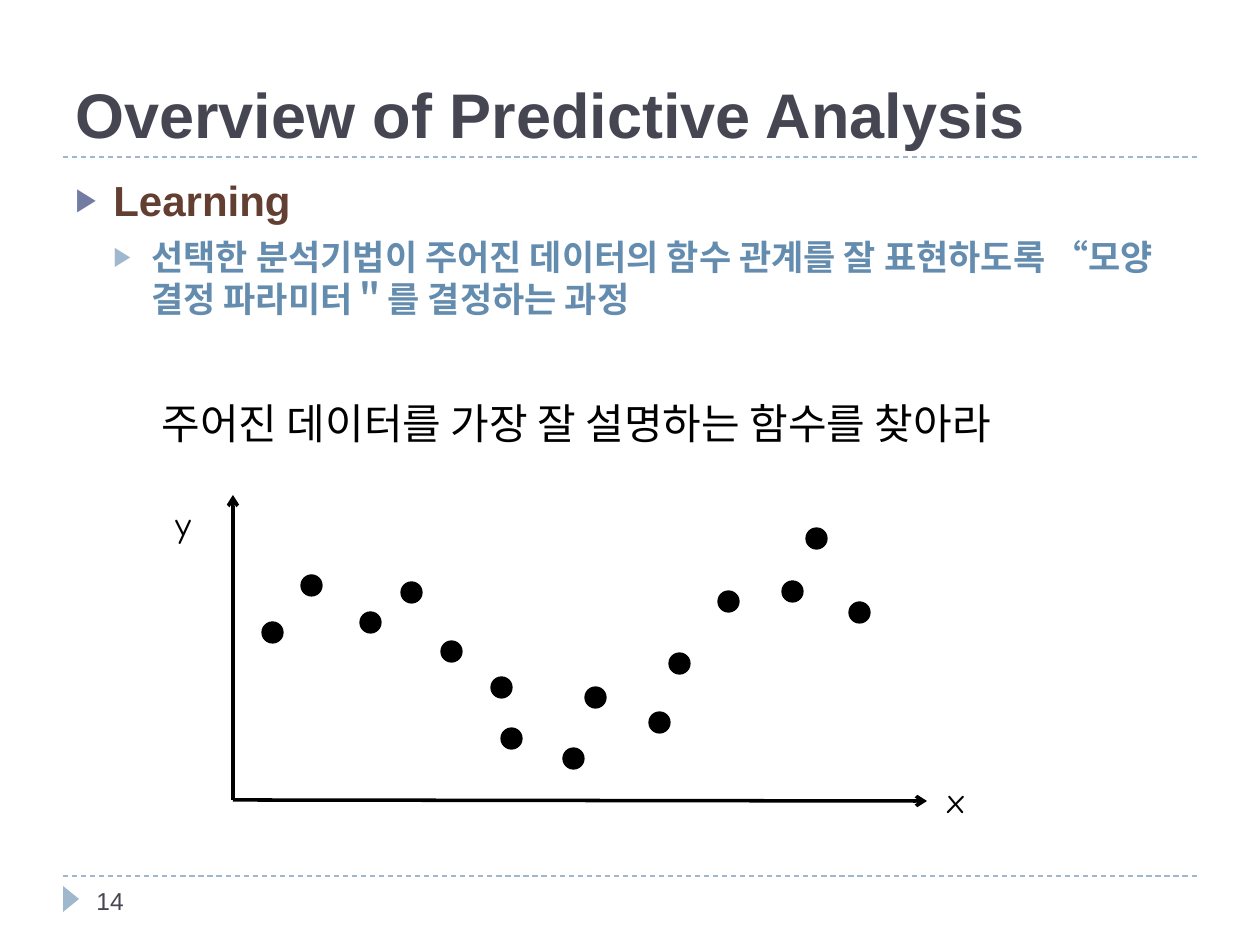
from dataclasses import dataclass

from lxml import etree
from pptx import Presentation
from pptx import util as u
from pptx.dml.color import RGBColor
from pptx.enum import dml, shapes, text
from pptx.oxml.ns import qn

PX = 914400 / 126


@dataclass(frozen=True)
class Theme:
    ink: str = "000000"
    heading: str = "464653"
    topic: str = "633F32"
    detail: str = "638CAE"
    accent: str = "9FB8CD"
    topic_bullet: str = "727CA3"
    sans: str = "Arial"
    hand: str = "Comic Neue"
    title_size: int = 36
    large: int = 24
    medium: int = 20
    small: int = 14
    rule_width: float = 0.75
    axis_width: float = 2


THEME = Theme()

DOT_SIZE = 21
DATA_POINTS = [
    (585, 687), (669, 653), (649, 712), (849, 602), (782, 581),
    (718, 591), (806, 528), (491, 677), (501, 728), (563, 748),
    (441, 641), (262, 622), (301, 575), (401, 582), (360, 612),
]


def px(length):
    return u.Emu(round(length * PX))


def rgb(colour):
    return RGBColor.from_string(colour)


def add_line(slide, start, end, colour, width):
    line = slide.shapes.add_connector(
        shapes.MSO_CONNECTOR.STRAIGHT, *map(px, (*start, *end)))
    line.line.color.rgb = rgb(colour)
    line.line.width = u.Pt(width)
    etree.SubElement(line._element.spPr, qn("a:effectLst"))
    return line


def add_rule(slide, y):
    rule = add_line(slide, (63, y), (1197, y), THEME.accent, THEME.rule_width)
    rule.line.dash_style = dml.MSO_LINE.DASH


def add_axis(slide, start, end):
    axis = add_line(slide, start, end, THEME.ink, THEME.axis_width)
    etree.SubElement(axis.line._get_or_add_ln(), qn("a:tailEnd"), type="arrow")


def add_solid(slide, kind, box, colour):
    solid = slide.shapes.add_shape(kind, *map(px, box))
    solid.shadow.inherit = False
    solid.fill.solid()
    solid.fill.fore_color.rgb = rgb(colour)
    return solid


def add_marker(slide):
    marker = add_solid(slide, shapes.MSO_SHAPE.ISOSCELES_TRIANGLE,
                       (58, 891, 26, 16), THEME.accent)
    marker.line.fill.background()
    marker.rotation = 90


def add_dot(slide, left, top):
    dot = add_solid(slide, shapes.MSO_SHAPE.OVAL,
                    (left, top, DOT_SIZE, DOT_SIZE), THEME.ink)
    dot.line.color.rgb = rgb(THEME.ink)
    dot.line.width = u.Pt(THEME.rule_width)


def add_frame(slide, box, anchor=text.MSO_ANCHOR.TOP, wrap=True):
    frame = slide.shapes.add_textbox(*map(px, box)).text_frame
    frame.word_wrap = wrap
    frame.vertical_anchor = anchor
    if not wrap:
        frame.auto_size = text.MSO_AUTO_SIZE.SHAPE_TO_FIT_TEXT
    return frame


def add_run(paragraph, words, size, colour, font=THEME.sans, bold=False):
    run = paragraph.add_run()
    run.text = words
    run.font.size = u.Pt(size)
    run.font.name = font
    run.font.bold = bold
    run.font.color.rgb = rgb(colour)


def add_label(slide, box, words, size, font=THEME.sans):
    frame = add_frame(slide, box, wrap=False)
    add_run(frame.paragraphs[0], words, size, THEME.ink, font)


def set_bullet(paragraph, level, colour):
    paragraph.level = level
    properties = paragraph._p.get_or_add_pPr()
    properties.set("marL", str(px(38 * (level + 1))))
    properties.set("indent", str(px(-38)))
    bullet_colour = etree.SubElement(properties, qn("a:buClr"))
    etree.SubElement(bullet_colour, qn("a:srgbClr"), val=colour)
    etree.SubElement(properties, qn("a:buSzPct"), val="76000")
    etree.SubElement(properties, qn("a:buFont"), typeface=THEME.sans)
    etree.SubElement(properties, qn("a:buChar"), char="▶")


def add_title(slide):
    frame = add_frame(slide, (63, 21, 1134, 136), text.MSO_ANCHOR.BOTTOM)
    add_run(frame.paragraphs[0], "Overview of Predictive Analysis",
            THEME.title_size, THEME.heading, bold=True)


def add_body(slide):
    frame = add_frame(slide, (63, 168, 1134, 680))
    topic = frame.paragraphs[0]
    set_bullet(topic, 0, THEME.topic_bullet)
    add_run(topic, "Learning", THEME.large, THEME.topic, bold=True)
    detail = frame.add_paragraph()
    set_bullet(detail, 1, THEME.accent)
    detail.space_before = u.Pt(6)
    add_run(detail, "선택한 분석기법이 주어진 데이터의 함수 관계를 잘 표현하도록 "
            "“모양 결정 파라미터＂를 결정하는 과정",
            THEME.medium, THEME.detail, bold=True)


def add_scatter(slide):
    for left, top in DATA_POINTS:
        add_dot(slide, left, top)
    origin = (233, 800)
    add_axis(slide, origin, (927, 801))
    add_axis(slide, origin, (233, 495))
    add_label(slide, (935, 772, 47, 55), "x", THEME.medium, THEME.hand)
    add_label(slide, (163, 496, 44, 55), "y", THEME.medium, THEME.hand)


def add_page_number(slide):
    frame = add_frame(slide, (84, 876, 273, 50), text.MSO_ANCHOR.MIDDLE)
    add_run(frame.paragraphs[0], "14", THEME.small, THEME.heading)


def main():
    deck = Presentation()
    deck.slide_width, deck.slide_height = px(1260), px(945)
    slide = deck.slides.add_slide(deck.slide_layouts[6])
    for y in (876, 157):
        add_rule(slide, y)
    add_marker(slide)
    add_title(slide)
    add_body(slide)
    add_label(slide, (149, 391, 964, 63),
              "주어진 데이터를 가장 잘 설명하는 함수를 찾아라", THEME.large)
    add_scatter(slide)
    add_page_number(slide)
    deck.save("out.pptx")


if __name__ == "__main__":
    main()
